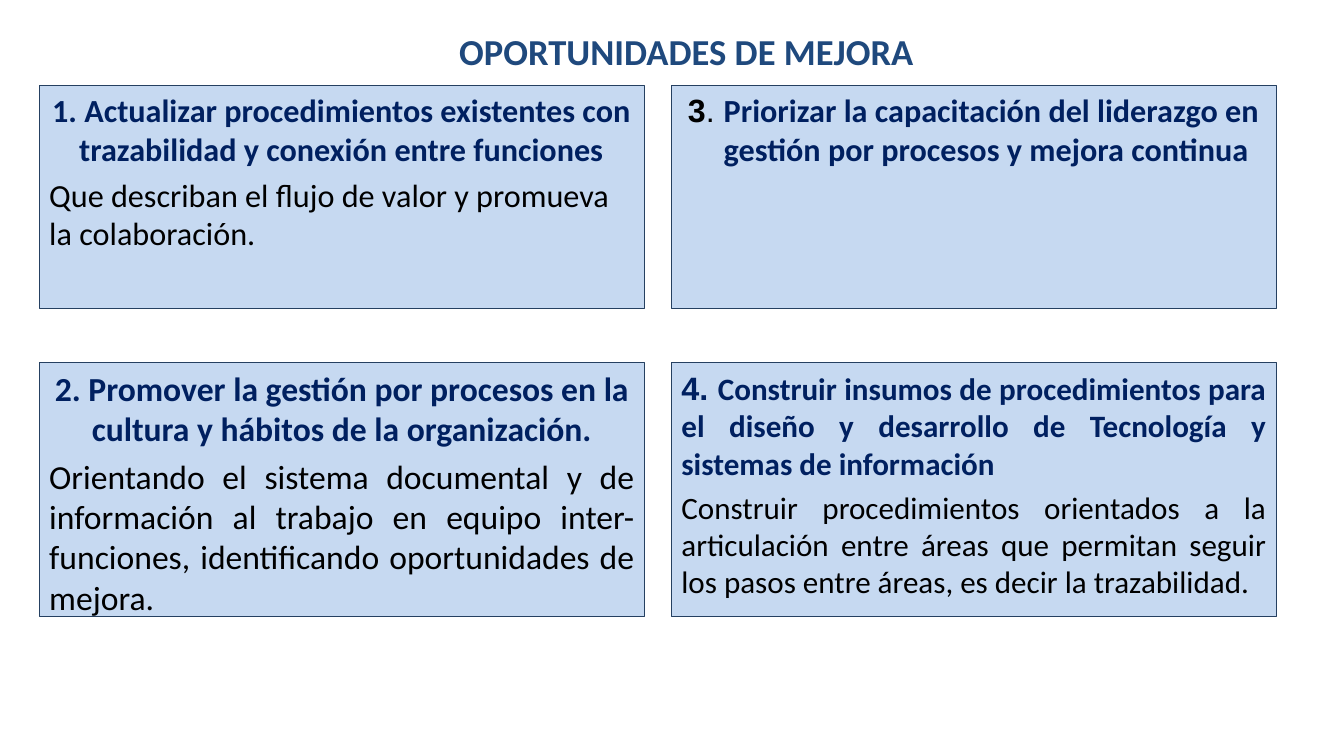
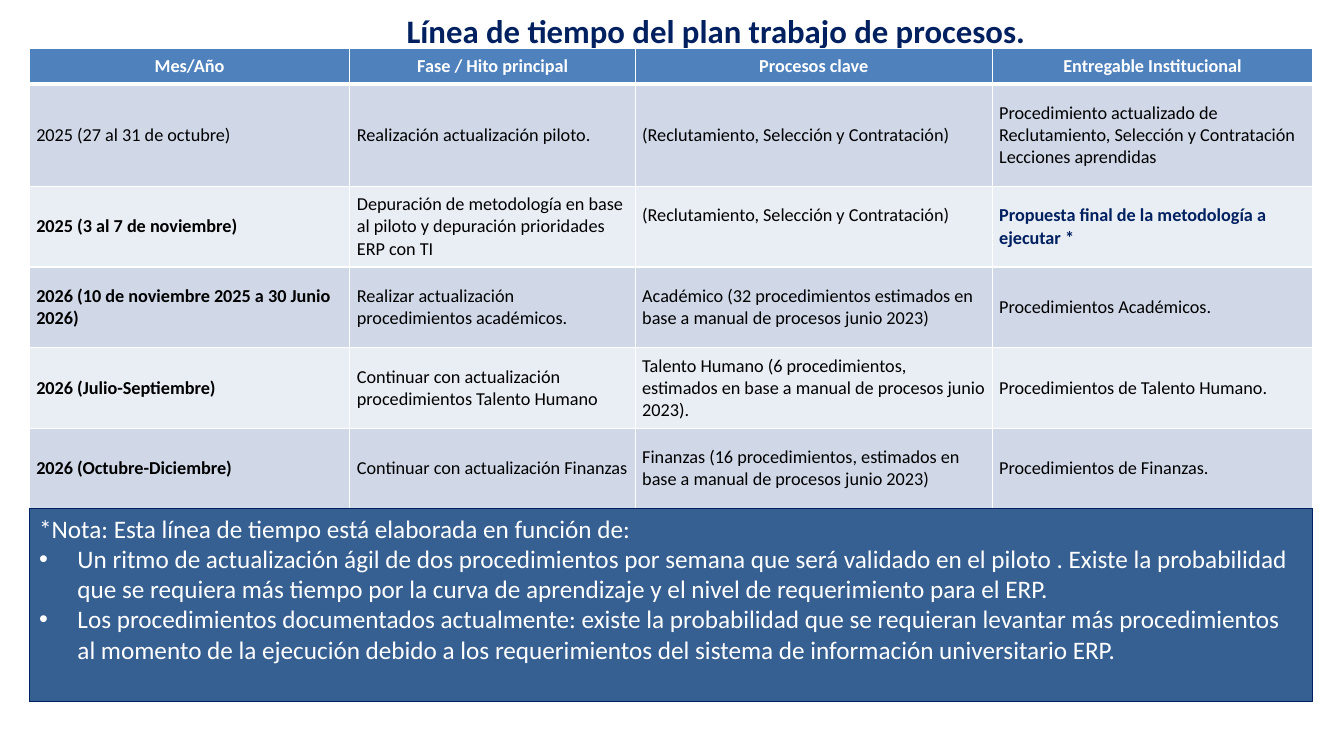
from lxml import etree
from pptx import Presentation
from pptx.dml.color import RGBColor
from pptx.enum.shapes import MSO_SHAPE
from pptx.enum.text import MSO_ANCHOR, PP_ALIGN
from pptx.oxml.ns import qn
from pptx.util import Pt

RECTANGLE = MSO_SHAPE.RECTANGLE
TOP, MIDDLE = MSO_ANCHOR.TOP, MSO_ANCHOR.MIDDLE
LEFT, CENTER, JUSTIFY = PP_ALIGN.LEFT, PP_ALIGN.CENTER, PP_ALIGN.JUSTIFY

EMU_PER_PX = 9144
FONT, NUMBER_FONT = "Calibri", "Arial"
NAVY, BLUE, BLACK, WHITE = "002060", "1F497D", "000000", "FFFFFF"
CARD_FILL, CARD_LINE, NOTE_FILL = "C6D9F1", "254061", "376092"
HEADER_FILL, BAND_FILLS = "4F81BD", ("D0D8E8", "E9EDF4")

CARD_LEFTS, CARD_WIDTH = (39, 666), 600
CARD_ROWS = ((85, 221), (360, 252))
HEADING = dict(bold=True, color=NAVY)

CARDS = [
    (0, 0, [
        dict(text="1. Actualizar procedimientos existentes con trazabilidad y conexión entre funciones",
             size=23, align=CENTER, **HEADING),
        dict(text="Que describan el flujo de valor y promueva la colaboración.", size=23, before=5),
    ]),
    (0, 1, [
        dict(text="2. Promover la gestión por procesos en la cultura y hábitos de la organización.",
             size=24, align=CENTER, **HEADING),
        dict(text="Orientando el sistema documental y de información al trabajo en equipo "
                  "inter-funciones, identificando oportunidades de mejora.",
             size=24, align=JUSTIFY, before=5),
    ]),
    (1, 0, [
        dict(text=[("3", dict(font=NUMBER_FONT, bold=True, color=BLACK)),
                   (". ", dict(font=NUMBER_FONT, bold=False, color=BLACK)),
                   ("Priorizar la capacitación del liderazgo en gestión por procesos y mejora continua", {})],
             size=23, align=CENTER, hanging=25, **HEADING),
    ]),
    (1, 1, [
        dict(text=[("4. ", dict(font=NUMBER_FONT, size=23.1)),
                   ("Construir insumos de procedimientos para el diseño y desarrollo de Tecnología "
                    "y sistemas de información", {})],
             size=22.2, align=JUSTIFY, **HEADING),
        dict(text="Construir procedimientos orientados a la articulación entre áreas que permitan "
                  "seguir los pasos entre áreas, es decir la trazabilidad.",
             size=22.2, align=JUSTIFY, before=5),
    ]),
]

COLUMN_WIDTHS = (318, 283, 354, 318)
ROW_HEIGHTS = (35, 102, 80, 80, 80, 80)
TABLE_LEFT, TABLE_TOP = 29, 48
TIMELINE = [
    ("Mes/Año", "Fase / Hito principal", "Procesos clave", "Entregable Institucional"),
    ("2025 (27 al 31 de octubre)", "Realización actualización piloto.",
     "(Reclutamiento, Selección y Contratación)",
     "Procedimiento actualizado de Reclutamiento, Selección y Contratación\nLecciones aprendidas"),
    ("2025 (3 al 7 de noviembre)",
     "Depuración de metodología en base al piloto y depuración prioridades ERP con TI",
     "(Reclutamiento, Selección y Contratación)", "Propuesta final de la metodología a ejecutar *"),
    ("2026 (10 de noviembre 2025 a 30 Junio 2026)", "Realizar actualización procedimientos académicos.",
     "Académico (32 procedimientos estimados en base a manual de procesos junio 2023)",
     "Procedimientos Académicos."),
    ("2026 (Julio-Septiembre)", "Continuar con actualización procedimientos Talento Humano",
     "Talento Humano (6 procedimientos, estimados en base a manual de procesos junio 2023).",
     "Procedimientos de Talento Humano."),
    ("2026 (Octubre-Diciembre)", "Continuar con actualización Finanzas",
     "Finanzas (16 procedimientos, estimados en base a manual de procesos junio 2023)",
     "Procedimientos de Finanzas."),
]
CELL_FORMATS = {(row, 0): dict(bold=True) for row in range(2, len(TIMELINE))}
CELL_FORMATS[2, 3] = HEADING
RAISED_CELL, RAISED_MARGIN = (2, 2), 25

NOTE_FORMAT = dict(size=18, color=WHITE)
NOTE = [
    dict(text="*Nota: Esta línea de tiempo está elaborada en función de:", **NOTE_FORMAT),
    dict(text="Un ritmo de actualización ágil de dos procedimientos por semana que será validado en el "
              "piloto . Existe la probabilidad que se requiera más tiempo por la curva de aprendizaje "
              "y el nivel de requerimiento para el ERP.", hanging=38, bullet="•", **NOTE_FORMAT),
    dict(text="Los procedimientos documentados actualmente: existe la probabilidad que se requieran "
              "levantar más procedimientos al momento de la ejecución debido a los requerimientos "
              "del sistema de información universitario ERP.", hanging=38, bullet="•", **NOTE_FORMAT),
]


def px(value):
    return value * EMU_PER_PX


def color_of(value):
    return RGBColor.from_string(value)


def write_paragraph(para, text, align=LEFT, before=0, hanging=0, bullet=None, **base):
    para.alignment = align
    para.space_before = Pt(before)
    properties = para._p.get_or_add_pPr()
    if hanging:
        properties.set("marL", str(px(hanging)))
        properties.set("indent", str(-px(hanging)))
    if bullet:
        etree.SubElement(properties, qn("a:buFont")).set("typeface", NUMBER_FONT)
        etree.SubElement(properties, qn("a:buChar")).set("char", bullet)
    spans = [(text, {})] if isinstance(text, str) else text
    for words, changes in spans:
        style = dict(font=FONT, size=18, bold=False, color=BLACK) | base | changes
        span = para.add_run()
        span.text = words
        span.font.name = style["font"]
        span.font.size = Pt(style["size"])
        span.font.bold = style["bold"]
        span.font.color.rgb = color_of(style["color"])


def write_paragraphs(frame, paragraphs):
    for index, content in enumerate(paragraphs):
        para = frame.add_paragraph() if index else frame.paragraphs[0]
        write_paragraph(para, **content)


def add_title(page, text, area, **style):
    box = page.shapes.add_textbox(*map(px, area))
    frame = box.text_frame
    frame.word_wrap = True
    frame.vertical_anchor = MIDDLE
    write_paragraph(frame.paragraphs[0], text, align=CENTER, bold=True, **style)


def add_panel(page, area, paragraphs, fill, line):
    panel = page.shapes.add_shape(RECTANGLE, *map(px, area))
    panel.shadow.inherit = False
    panel.fill.solid()
    panel.fill.fore_color.rgb = color_of(fill)
    panel.line.color.rgb = color_of(line)
    panel.line.width = Pt(0.75)
    frame = panel.text_frame
    frame.word_wrap = True
    frame.vertical_anchor = TOP
    write_paragraphs(frame, paragraphs)


def set_borders(cell, widths):
    properties = cell._tc.get_or_add_tcPr()
    for side, width in widths.items():
        border = etree.SubElement(properties, qn("a:ln" + side), w=str(Pt(width)))
        fill = etree.SubElement(border, qn("a:solidFill"))
        etree.SubElement(fill, qn("a:srgbClr"), val=WHITE)


def fill_cell(cell, row, column, text):
    is_header = row == 0
    cell.vertical_anchor = MIDDLE
    cell.margin_left = cell.margin_right = px(7)
    cell.margin_top = px(3)
    cell.margin_bottom = px(RAISED_MARGIN if (row, column) == RAISED_CELL else 3)
    set_borders(cell, dict(L=1, R=1, T=3 if row == 1 else 1, B=3 if is_header else 1))
    cell.fill.solid()
    cell.fill.fore_color.rgb = color_of(HEADER_FILL if is_header else BAND_FILLS[(row - 1) % 2])
    style = dict(size=13)
    if is_header:
        style |= dict(align=CENTER, bold=True, color=WHITE)
    style |= CELL_FORMATS.get((row, column), {})
    write_paragraphs(cell.text_frame, [dict(text=line, **style) for line in text.split("\n")])


def add_timeline(page):
    area = (TABLE_LEFT, TABLE_TOP, sum(COLUMN_WIDTHS), sum(ROW_HEIGHTS))
    table = page.shapes.add_table(len(TIMELINE), len(COLUMN_WIDTHS), *map(px, area)).table
    table.horz_banding = False
    for column, width in zip(table.columns, COLUMN_WIDTHS):
        column.width = px(width)
    for row, height in zip(table.rows, ROW_HEIGHTS):
        row.height = px(height)
    for row, texts in enumerate(TIMELINE):
        for column, text in enumerate(texts):
            fill_cell(table.cell(row, column), row, column, text)


def build_opportunities(page):
    add_title(page, "OPORTUNIDADES DE MEJORA", (256, 28, 850, 46), size=26.1, color=BLUE)
    for column, row, paragraphs in CARDS:
        top, height = CARD_ROWS[row]
        add_panel(page, (CARD_LEFTS[column], top, CARD_WIDTH, height), paragraphs, CARD_FILL, CARD_LINE)


def build_timeline(page):
    add_title(page, "Línea de tiempo del plan trabajo de procesos.", (379, 0, 662, 60),
              size=23.4, color=NAVY)
    add_timeline(page)
    note_top = TABLE_TOP + sum(ROW_HEIGHTS) - 1
    add_panel(page, (TABLE_LEFT, note_top, sum(COLUMN_WIDTHS), 192), NOTE, NOTE_FILL, NAVY)


def main():
    deck = Presentation()
    deck.slide_width, deck.slide_height = px(1333), px(750)
    blank = deck.slide_layouts[6]
    for build in (build_opportunities, build_timeline):
        build(deck.slides.add_slide(blank))
    deck.save("out.pptx")


if __name__ == "__main__":
    main()
